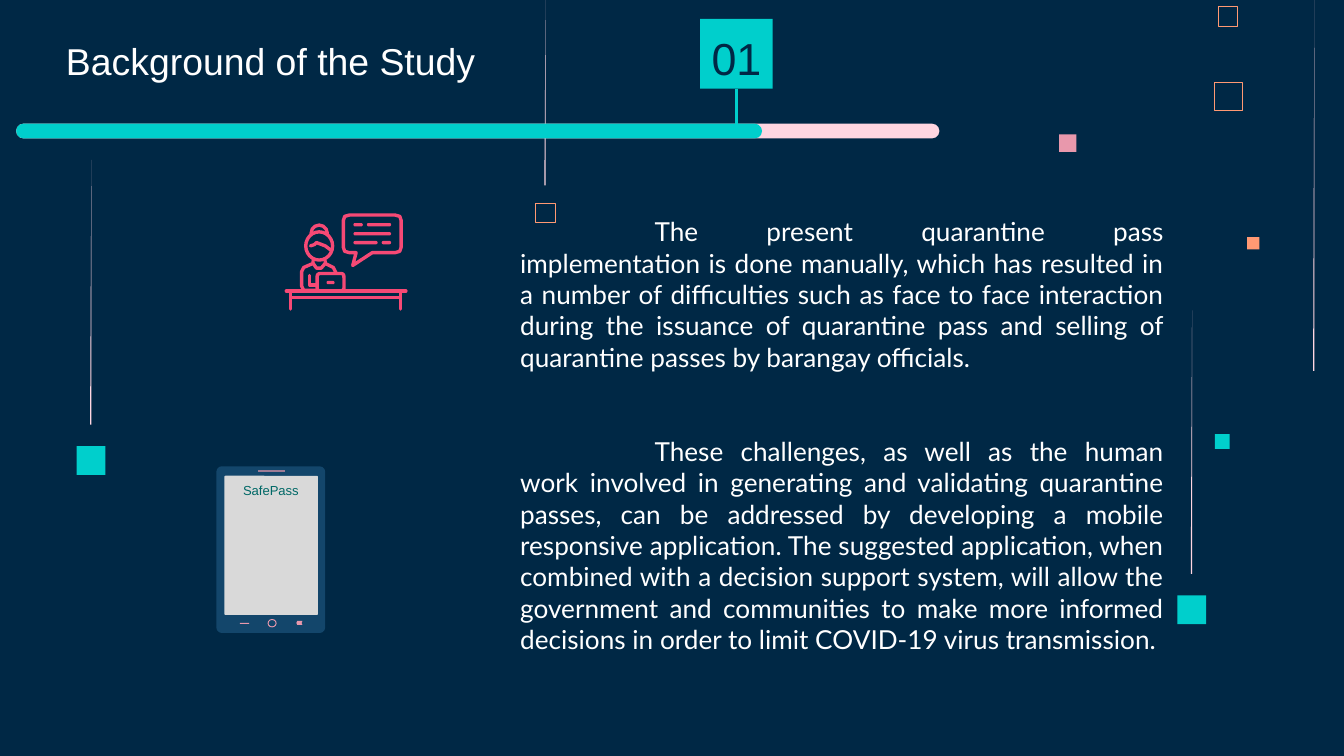
from lxml.etree import SubElement
from pptx import Presentation
from pptx.dml.color import RGBColor
from pptx.enum.shapes import MSO_CONNECTOR, MSO_SHAPE
from pptx.enum.text import MSO_ANCHOR, MSO_AUTO_SIZE, PP_ALIGN
from pptx.oxml.ns import qn
from pptx.util import Inches, Pt

NAVY = RGBColor(0x00, 0x28, 0x45)
TEAL = RGBColor(0x00, 0xCF, 0xCC)
DARK_TEAL = RGBColor(0x00, 0x68, 0x66)
BLUSH = RGBColor(0xFF, 0xD6, 0xE1)
ROSE = RGBColor(0xE8, 0x98, 0xAC)
ORANGE = RGBColor(0xFF, 0x99, 0x73)
PINK = RGBColor(0xF6, 0x49, 0x75)
STEEL = RGBColor(0x13, 0x46, 0x6B)
GREY = RGBColor(0xD9, 0xD9, 0xD9)
WHITE = RGBColor(0xFF, 0xFF, 0xFF)

# Grid of 100 columns by 56.25 rows; every length below is in cells
CELL = Inches(10) / 100
STROKE = 1.8

prs = Presentation()
prs.slide_width = int(100 * CELL)
prs.slide_height = int(56.25 * CELL)
slide = prs.slides.add_slide(prs.slide_layouts[1])
slide.background.fill.solid()
slide.background.fill.fore_color.rgb = NAVY


def paint(shape, fill=None, line=None, width=STROKE):
    shape.shadow.inherit = False
    if fill is None:
        shape.fill.background()
    else:
        shape.fill.solid()
        shape.fill.fore_color.rgb = fill
    if line is None:
        shape.line.fill.background()
    else:
        shape.line.color.rgb = line
        shape.line.width = Pt(width)
        stroke = shape._element.spPr.find(qn("a:ln"))
        stroke.set("cap", "rnd")
        SubElement(stroke, qn("a:round"))
    return shape


def block(kind, box, **look):
    return paint(slide.shapes.add_shape(kind, *[int(n * CELL) for n in box]), **look)


# Fading vertical rays: left, top, bottom
for left, top, bottom in [(40.5, 0, 13.8), (97.7, 0, 27.6),
                          (88.6, 23.1, 42.7), (6.7, 11.9, 31.6)]:
    corners = [(left + 0.1, top), (left, bottom), (left + 0.1, bottom)]
    (start, *rest) = [(x * CELL, y * CELL) for x, y in corners]
    builder = slide.shapes.build_freeform(*start)
    builder.add_line_segments(rest, close=True)
    paint(builder.convert_to_shape(), fill=BLUSH)

# Scattered squares: left, top, side
for left, top, side, color in [(78.8, 10, 1.3, ROSE), (90.4, 32.3, 1.1, TEAL),
                               (92.8, 17.65, 0.9, ORANGE),
                               (87.6, 44.3, 2.15, TEAL), (5.7, 33.2, 2.15, TEAL)]:
    block(MSO_SHAPE.RECTANGLE, (left, top, side, side), fill=color)
for left, top, side, width in [(90.35, 6.1, 2.1, 0.45), (90.65, 0.5, 1.45, 0.32),
                               (39.85, 15.1, 1.45, 0.32)]:
    block(MSO_SHAPE.RECTANGLE, (left, top, side, side), line=ORANGE, width=width)

# Heading
heading = slide.shapes.title
heading.left, heading.top, heading.width, heading.height = [
    int(n * CELL) for n in (1.2, 2.2, 37.9, 5)]
heading_frame = heading.text_frame
heading_frame.auto_size = MSO_AUTO_SIZE.NONE
heading_frame.vertical_anchor = MSO_ANCHOR.BOTTOM
heading_frame.margin_top = heading_frame.margin_bottom = Inches(0.1)
heading_line = heading_frame.paragraphs[0]
heading_line.alignment = PP_ALIGN.CENTER
heading_run = heading_line.add_run()
heading_run.text = "Background of the Study"
heading_run.font.size = Pt(20)
heading_run.font.name = "Arial"
heading_run.font.color.rgb = WHITE

# Progress bar with its numbered marker
for length, color in [(68.7, BLUSH), (55.5, TEAL)]:
    bar = block(MSO_SHAPE.ROUNDED_RECTANGLE, (1.2, 9.2, length, 1.1), fill=color)
    bar.adjustments[0] = 0.5

marker = block(MSO_SHAPE.RECTANGLE, (52.1, 1.4, 5.4, 5.2), fill=TEAL)
marker_frame = marker.text_frame
marker_frame.margin_left = marker_frame.margin_right = 0
marker_frame.margin_top, marker_frame.margin_bottom = Inches(0.06), 0
marker_frame.vertical_anchor = MSO_ANCHOR.MIDDLE
marker_line = marker_frame.paragraphs[0]
marker_line.alignment = PP_ALIGN.CENTER
number = marker_line.add_run()
number.text = "01"
number.font.size = Pt(24)
number.font.name = "Arial"
number.font.color.rgb = NAVY

stem = slide.shapes.add_connector(
    MSO_CONNECTOR.STRAIGHT, *[int(n * CELL) for n in (54.8, 6.6, 54.8, 9.7)])
stem.begin_connect(marker, 2)
stem.line.color.rgb = TEAL
stem.line.width = Pt(1.5)
SubElement(stem._element.spPr, qn("a:effectLst"))

# Study text
study = slide.placeholders[1]
study.left, study.top, study.width, study.height = [
    int(n * CELL) for n in (37.7, 15.05, 49.9, 34.05)]
study_frame = study.text_frame
study_frame.word_wrap = True
study_frame.auto_size = MSO_AUTO_SIZE.NONE
study_frame.margin_top = study_frame.margin_bottom = Inches(0.1)
STUDY = [
    "The present quarantine pass implementation is done manually, which has "
    "resulted in a number of difficulties such as face to face interaction during "
    "the issuance of quarantine pass and selling of quarantine passes by barangay "
    "officials.",
    "These challenges, as well as the human work involved in generating and "
    "validating quarantine passes, can be addressed by developing a mobile "
    "responsive application. The suggested application, when combined with a "
    "decision support system, will allow the government and communities to make "
    "more informed decisions in order to limit COVID-19 virus transmission.",
]
for index, words in enumerate(STUDY):
    paragraph = study_frame.paragraphs[0] if index == 0 else study_frame.add_paragraph()
    paragraph.alignment = PP_ALIGN.JUSTIFY
    paragraph.line_spacing = 1.0
    paragraph.space_before = Pt(33.6 * index)
    layout = paragraph._p.get_or_add_pPr()
    layout.set("marL", "0")
    layout.set("indent", str(Inches(1)))
    SubElement(layout, qn("a:buNone"))
    run = paragraph.add_run()
    run.text = words
    run.font.size = Pt(14)
    run.font.name = "Lato"
    run.font.color.rgb = WHITE

# Clerk at a desk: bun, head and laptop
block(MSO_SHAPE.OVAL, (23.15, 16.75, 1.2, 1.2), line=PINK)
block(MSO_SHAPE.OVAL, (22.75, 17.25, 2, 2.1), fill=NAVY, line=PINK)
block(MSO_SHAPE.ROUNDED_RECTANGLE, (23.6, 20.35, 2, 1.3), line=PINK)

# Clerk strokes: fringe, body, collar, shoulder, arm, desk, speech bubble
STROKES = [
    ([(23.1, 18.3), (23.4, 18.2), (23.55, 18.05), (24.2, 18.3), (24.6, 18.6)], False),
    ([(23.3, 19.4), (23.3, 19.6), (22.6, 19.9), (22.45, 20.2), (22.45, 21.3),
      (22.6, 21.6), (23.6, 21.6)], False),
    ([(23.3, 19.6), (23.55, 19.95), (23.9, 19.95), (24.2, 19.6)], False),
    ([(24.2, 19.4), (24.2, 19.6), (24.8, 19.9), (25, 20.3)], False),
    ([(23.05, 20.5), (23.05, 21.2), (23.5, 21.2)], False),
    ([(21.3, 21.65), (30.2, 21.65)], False),
    ([(21.6, 23), (21.6, 22.15), (29.8, 22.15), (29.8, 23)], False),
    ([(21.6, 21.65), (21.6, 22.15)], False),
    ([(29.8, 21.65), (29.8, 22.15)], False),
    ([(26, 16), (29.4, 16), (29.75, 16.1), (29.85, 16.4), (29.85, 18.4),
      (29.75, 18.7), (29.4, 18.8), (27.7, 18.8), (26.25, 19.75), (26.5, 18.8),
      (26, 18.8), (25.65, 18.7), (25.55, 18.4), (25.55, 16.4), (25.65, 16.1)], True),
]
for points, closed in STROKES:
    (start, *rest) = [(x * CELL, y * CELL) for x, y in points]
    builder = slide.shapes.build_freeform(*start)
    builder.add_line_segments(rest, close=closed)
    paint(builder.convert_to_shape(), line=PINK)

# Words in the bubble and the laptop mark: left, top, width
for left, top, width in [(26.3, 16.6, 0.7), (27.3, 16.6, 1.8), (26.3, 17.27, 2.8),
                         (26.3, 17.93, 1.8), (28.4, 17.93, 0.7), (24.3, 20.9, 0.6)]:
    dash = block(MSO_SHAPE.ROUNDED_RECTANGLE, (left, top, width, 0.25), fill=PINK)
    dash.adjustments[0] = 0.5

# Phone: case, screen, speaker and buttons
case = block(MSO_SHAPE.ROUNDED_RECTANGLE, (16.1, 34.7, 8.1, 12.4), fill=STEEL)
case.adjustments[0] = 0.05
screen = block(MSO_SHAPE.ROUNDED_RECTANGLE, (16.7, 35.4, 6.95, 10.35), fill=GREY)
screen.adjustments[0] = 0.01
for box in [(19.2, 35, 2, 0.1), (17.85, 46.35, 0.7, 0.07)]:
    block(MSO_SHAPE.RECTANGLE, box, fill=ROSE)
block(MSO_SHAPE.OVAL, (19.95, 46.1, 0.6, 0.55), line=ROSE, width=0.5)
back = block(MSO_SHAPE.CHEVRON, (22.05, 46.2, 0.45, 0.3), fill=ROSE)
back.rotation = 180
back.adjustments[0] = 0.2

app = slide.shapes.add_textbox(*[int(n * CELL) for n in (17.1, 35.4, 6.2, 2.2)])
app.text_frame.word_wrap = False
app_name = app.text_frame.paragraphs[0].add_run()
app_name.text = "SafePass"
app_name.font.size = Pt(7)
app_name.font.name = "Arial"
app_name.font.color.rgb = DARK_TEAL

prs.save("out.pptx")
